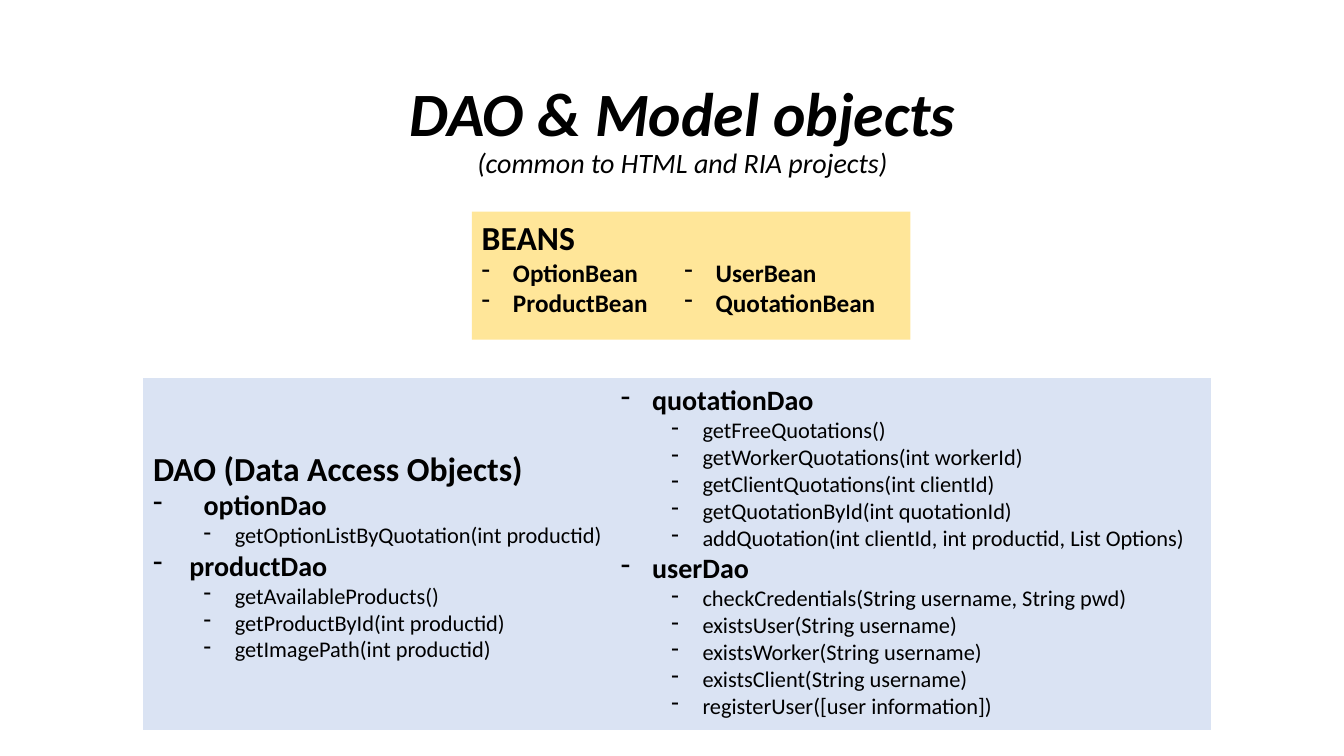
from lxml.etree import SubElement
from pptx import Presentation
from pptx.dml.color import RGBColor
from pptx.enum.shapes import MSO_SHAPE
from pptx.enum.text import MSO_ANCHOR, PP_ALIGN
from pptx.oxml.ns import qn
from pptx.util import Inches, Pt

QUOTATION_METHODS = [
    "getFreeQuotations()",
    "getWorkerQuotations(int workerId)",
    "getClientQuotations(int clientId)",
    "getQuotationById(int quotationId)",
    "addQuotation(int clientId, int productid, List Options)",
]
USER_METHODS = [
    "checkCredentials(String username, String pwd)",
    "existsUser(String username)",
    "existsWorker(String username)",
    "existsClient(String username)",
    "registerUser([user information])",
]
PRODUCT_METHODS = [
    "getAvailableProducts()",
    "getProductById(int productid)",
    "getImagePath(int productid)",
]


def color(value):
    """Turn a hex string into a colour."""
    return RGBColor.from_string(value)


def add_panel(page, left, top, width, height, fill):
    """Draw a plain filled rectangle."""
    panel = page.shapes.add_shape(
        MSO_SHAPE.RECTANGLE, Inches(left), Inches(top), Inches(width), Inches(height)
    )
    panel.shadow.inherit = False
    panel.fill.solid()
    panel.fill.fore_color.rgb = color(fill)
    panel.line.fill.background()


def add_box(page, left, top, width, height):
    """Add an empty wrapping text box and return its text frame."""
    box = page.shapes.add_textbox(Inches(left), Inches(top), Inches(width), Inches(height))
    box.text_frame.word_wrap = True
    return box.text_frame


def next_para(frame):
    """Return the unused first paragraph, or a new one."""
    first = frame.paragraphs[0]
    return frame.add_paragraph() if first.runs else first


def add_span(para, text, size=18, bold=True, italic=False):
    """Add formatted text to a paragraph."""
    span = para.add_run()
    span.text = text
    span.font.name = "Calibri"
    span.font.size = Pt(size)
    span.font.bold = bold
    span.font.italic = italic
    span.font.color.rgb = color("000000")


def add_item(frame, text, margin=0.31, hanging=0.31, level=0, **style):
    """Add a paragraph with a dash bullet and a hanging indent."""
    para = next_para(frame)
    para.level = level
    properties = para._p.get_or_add_pPr()
    properties.set("marL", str(Inches(margin)))
    properties.set("indent", str(-Inches(hanging)))
    SubElement(properties, qn("a:buFontTx"))
    SubElement(properties, qn("a:buChar")).set("char", "-")
    add_span(para, text, **style)


def add_dao(frame, name, methods, indent=0.31):
    """List a data access object and its methods."""
    add_item(frame, name, margin=indent, hanging=indent, size=20)
    for method in methods:
        add_item(frame, method, margin=0.81, level=1, size=16, bold=False)


def add_title(page):
    """Add the centred title and its subtitle line."""
    frame = add_box(page, 2.27, 0.23, 9, 2.15)
    frame.vertical_anchor = MSO_ANCHOR.MIDDLE
    para = next_para(frame)
    para.alignment = PP_ALIGN.CENTER
    para.line_spacing = 0.9
    add_span(para, "DAO & Model objects", size=44, italic=True)
    para.add_line_break()
    add_span(para, "(common to HTML and RIA projects)", size=20, bold=False, italic=True)


def add_beans(page):
    """Add the panel listing the beans in two columns."""
    add_panel(page, 4.68, 2.1, 4.35, 1.27, "FFE699")
    left = add_box(page, 4.68, 2.1, 3.2, 1.11)
    add_span(next_para(left), "BEANS", size=24)
    right = add_box(page, 6.69, 2.5, 2.18, 0.71)
    for frame, names in (
        (left, ["OptionBean", "ProductBean"]),
        (right, ["UserBean", "QuotationBean"]),
    ):
        for name in names:
            add_item(frame, name)


def add_daos(page):
    """Add the panel listing the data access objects in two columns."""
    add_panel(page, 1.42, 3.75, 10.59, 3.49, "DAE3F3")
    left = add_box(page, 1.42, 4.39, 6.61, 2.26)
    add_span(next_para(left), "DAO (Data Access Objects)", size=24)
    add_dao(left, "optionDao", ["getOptionListByQuotation(int productid)"], indent=0.5)
    add_dao(left, "productDao", PRODUCT_METHODS, indent=0.36)
    right = add_box(page, 6.06, 3.75, 6.67, 3.6)
    add_dao(right, "quotationDao", QUOTATION_METHODS)
    add_dao(right, "userDao", USER_METHODS)


def main():
    """Build the slide and save it."""
    deck = Presentation()
    deck.slide_width = Inches(13.33)
    deck.slide_height = Inches(7.5)
    page = deck.slides.add_slide(deck.slide_layouts[6])
    add_title(page)
    add_beans(page)
    add_daos(page)
    deck.save("out.pptx")


if __name__ == "__main__":
    main()
